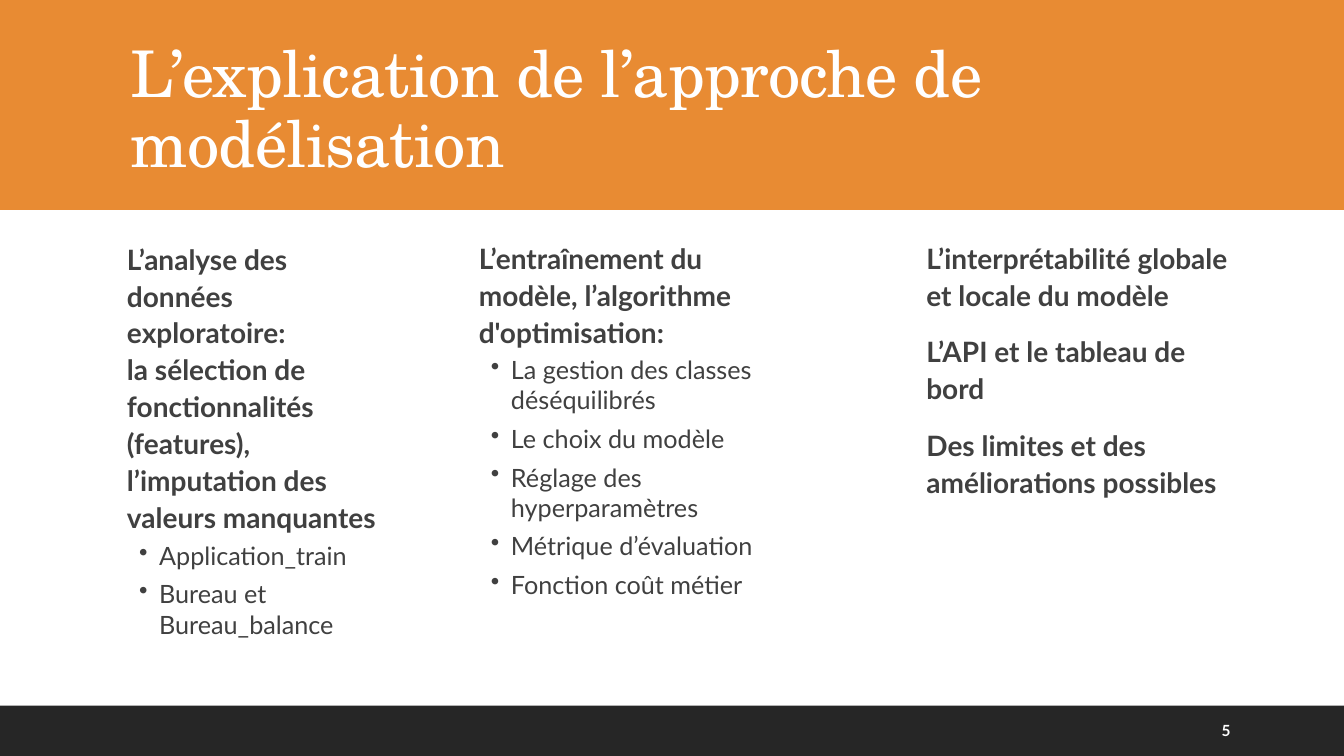
import pptx
import pptx.dml.color
import pptx.enum.shapes
import pptx.enum.text
import pptx.util
import lxml.etree

Pt = pptx.util.Pt
ANCHOR = pptx.enum.text.MSO_ANCHOR
COLOURS = {"orange": "E88B33", "dark": "262626", "text": "404040", "white": "FFFFFF"}
PAGE_WIDTH, PAGE_HEIGHT = 960, 540
HEADER_HEIGHT, FOOTER_HEIGHT = 150, 36
COLUMNS = [
    ((83.5, 167, 186.5, 295),
     ["L’analyse des données exploratoire: \vla sélection de fonctionnalités "
      "(features), l’imputation des valeurs manquantes"],
     ["Application_train", "Bureau et Bureau_balance"]),
    ((334.8, 166.3, 226.8, 295),
     ["L’entraînement du modèle, l’algorithme d'optimisation:"],
     ["La gestion des classes déséquilibrés", "Le choix du modèle",
      "Réglage des hyperparamètres", "Métrique d’évaluation", "Fonction coût métier"]),
    ((654.5, 166.3, 226.8, 295),
     ["L’interprétabilité globale et locale du modèle", "L’API et le tableau de bord",
      "Des limites et des améliorations possibles"],
     []),
]


def colour(name):
    """Return the named colour of the palette."""
    return pptx.dml.color.RGBColor.from_string(COLOURS[name])


def add_band(page, box, fill):
    """Draw a plain filled rectangle."""
    rectangle = pptx.enum.shapes.MSO_SHAPE.RECTANGLE
    band = page.shapes.add_shape(rectangle, *map(Pt, box))
    band.shadow.inherit = False
    band.fill.solid()
    band.fill.fore_color.rgb = colour(fill)
    band.line.fill.background()


def add_frame(page, box, anchor=ANCHOR.TOP, side_inset=7.2):
    """Add a wrapping text box and return its text frame."""
    frame = page.shapes.add_textbox(*map(Pt, box)).text_frame
    frame.word_wrap = True
    frame.vertical_anchor = anchor
    frame.margin_left = frame.margin_right = Pt(side_inset)
    frame.margin_top = frame.margin_bottom = Pt(3.6)
    return frame


def write(frame, text, size, ink="text", font="Lato", bold=False, spacing=1.0,
          before=0, after=0, left=0, hanging=0, bullet=None, level=0, tracking=0):
    """Write one formatted paragraph into a text frame."""
    para = frame.paragraphs[0]
    if para.text:
        para = frame.add_paragraph()
    para.text = text
    para.level = level
    para.line_spacing = spacing
    para.space_before, para.space_after = Pt(before), Pt(after)
    properties = para._p.get_or_add_pPr()
    properties.set("marL", str(Pt(left)))
    properties.set("indent", str(Pt(-hanging)))
    if bullet:
        mark = lxml.etree.SubElement(properties, pptx.oxml.ns.qn("a:buChar"))
        mark.set("char", bullet)
    for span in para.runs:
        span.font.name, span.font.size, span.font.bold = font, Pt(size), bold
        span.font.color.rgb = colour(ink)
        if tracking:
            span.font._element.set("spc", str(int(tracking * 100)))


def add_header(page, box, title):
    """Draw the title band with the title inside it."""
    left, top, width, height = box
    add_band(page, box, "orange")
    frame = add_frame(page, (left + 86.4, top + 22.5, width - 168, height - 35.5),
                      anchor=ANCHOR.MIDDLE)
    write(frame, title, 46, ink="white", font="TeX Gyre Schola", spacing=0.9, tracking=-0.5)


def add_footer(page, box, number):
    """Draw the bottom band with the page number."""
    left, top, width, height = box
    add_band(page, box, "dark")
    frame = add_frame(page, (left + width - 94.5, top + 3.6, 61, height - 7.2),
                      anchor=ANCHOR.MIDDLE)
    write(frame, number, 11, ink="white", bold=True)


def add_column(page, box, headings, items):
    """Fill one column with bold headings and bulleted items."""
    frame = add_frame(page, box, side_inset=0)
    for heading in headings:
        write(frame, heading, 20, bold=True, spacing=1.1, before=12, after=2, left=7.2)
    for item in items:
        write(frame, item, 18, before=2, after=4, left=30.2, hanging=14.4,
              bullet="•", level=1)


def main():
    """Build the slide and save it."""
    deck = pptx.Presentation()
    deck.slide_width, deck.slide_height = Pt(PAGE_WIDTH), Pt(PAGE_HEIGHT)
    page = deck.slides.add_slide(deck.slide_layouts[6])
    add_header(page, (0, 0, PAGE_WIDTH, HEADER_HEIGHT),
               "L’explication de l’approche de modélisation")
    add_footer(page, (0, PAGE_HEIGHT - FOOTER_HEIGHT, PAGE_WIDTH, FOOTER_HEIGHT), "5")
    for box, headings, items in COLUMNS:
        add_column(page, box, headings, items)
    deck.save("out.pptx")


if __name__ == "__main__":
    main()
